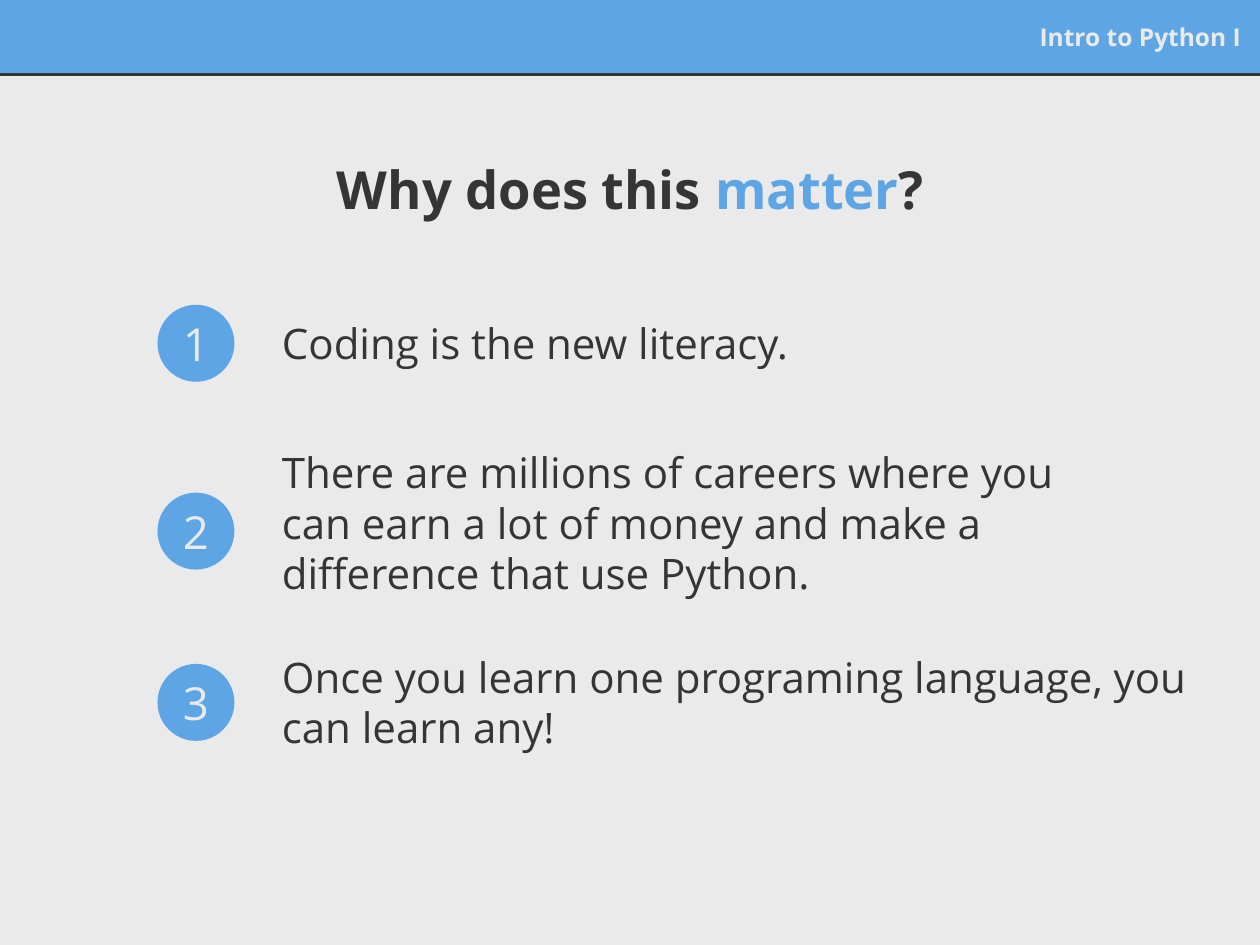
from dataclasses import dataclass
from pptx import Presentation
from pptx.dml.color import RGBColor
from pptx.enum.shapes import MSO_CONNECTOR, MSO_SHAPE
from pptx.enum.text import MSO_ANCHOR, MSO_AUTO_SIZE, PP_ALIGN
from pptx.oxml.ns import qn
from pptx.slide import Slide
from pptx.text.text import TextFrame
from pptx.util import Pt
from lxml.etree import SubElement


@dataclass(frozen=True)
class Theme:
    font: str = "Open Sans"
    blue: RGBColor = RGBColor(0x5E, 0xA5, 0xE5)
    dark: RGBColor = RGBColor(0x35, 0x35, 0x35)
    pale: RGBColor = RGBColor(0xEA, 0xEA, 0xEA)
    head: int = 14
    title: int = 30
    badge: int = 26
    body: int = 24


@dataclass(frozen=True)
class Box:
    left: float
    top: float
    width: float
    height: float

    def pts(self) -> list[Pt]:
        return [Pt(v) for v in (self.left, self.top, self.width, self.height)]


@dataclass(frozen=True)
class Reason:
    text: str
    dot: float  # top of the numbered circle
    box: Box


@dataclass(frozen=True)
class Run:
    text: str
    color: RGBColor


THEME = Theme()
WIDTH, HEIGHT = 720, 540
BAND = 42.5
DOT_LEFT, DOT_SIZE = 90, 44
TEXT_LEFT = 154

REASONS = [
    Reason("Coding is the new literacy.", 174.2,
           Box(TEXT_LEFT, 166.5, 478, 59)),
    Reason("There are millions of careers where you can earn a lot of money "
           "and make a difference that use Python.", 281.5,
           Box(TEXT_LEFT, 242.7, 478, 111.5)),
    Reason("Once you learn one programing language, you can learn any!", 379.4,
           Box(TEXT_LEFT, 371.5, 536.5, 59)),
]


def write(frame: TextFrame, runs: list[Run], size: int,
          align: PP_ALIGN = PP_ALIGN.LEFT, bold: bool = False) -> None:
    form = {"word_wrap": True, "auto_size": MSO_AUTO_SIZE.NONE,
            "vertical_anchor": MSO_ANCHOR.MIDDLE}
    form |= {f"margin_{side}": Pt(7.2)
             for side in ("left", "top", "right", "bottom")}
    for name, value in form.items():
        setattr(frame, name, value)
    para = frame.paragraphs[0]
    para.alignment = align
    for item in runs:
        run = para.add_run()
        run.text = item.text
        for name, value in {"name": THEME.font, "size": Pt(size),
                            "bold": bold}.items():
            setattr(run.font, name, value)
        run.font.color.rgb = item.color


def add_band(slide: Slide) -> None:
    band = slide.shapes.add_shape(
        MSO_SHAPE.RECTANGLE, *Box(0, 0, WIDTH, BAND).pts())
    band.shadow.inherit = False
    band.fill.solid()
    band.fill.fore_color.rgb = THEME.blue
    band.line.color.rgb = THEME.blue
    band.line.width = Pt(0.75)
    rule = slide.shapes.add_connector(
        MSO_CONNECTOR.STRAIGHT, Pt(0), Pt(BAND), Pt(WIDTH), Pt(BAND))
    rule.line.color.rgb = THEME.dark
    rule.line.width = Pt(1.5)
    SubElement(rule._element.spPr, qn("a:effectLst"))


def add_text(slide: Slide, box: Box, run: Run, size: int,
             align: PP_ALIGN = PP_ALIGN.LEFT, bold: bool = False) -> None:
    frame = slide.shapes.add_textbox(*box.pts()).text_frame
    write(frame, [run], size, align, bold)


def add_dot(slide: Slide, top: float, label: str) -> None:
    dot = slide.shapes.add_shape(
        MSO_SHAPE.OVAL, *Box(DOT_LEFT, top, DOT_SIZE, DOT_SIZE).pts())
    dot.shadow.inherit = False
    dot.fill.solid()
    dot.fill.fore_color.rgb = THEME.blue
    dot.line.fill.background()
    write(dot.text_frame, [Run(label, THEME.pale)], THEME.badge,
          PP_ALIGN.CENTER)


def set_title(slide: Slide, box: Box, runs: list[Run]) -> None:
    title = slide.shapes.title
    for name, value in zip(("left", "top", "width", "height"), box.pts()):
        setattr(title, name, value)
    write(title.text_frame, runs, THEME.title, PP_ALIGN.CENTER, True)


def main() -> None:
    deck = Presentation()
    deck.slide_width, deck.slide_height = Pt(WIDTH), Pt(HEIGHT)
    slide = deck.slides.add_slide(deck.slide_layouts[5])
    slide.background.fill.solid()
    slide.background.fill.fore_color.rgb = THEME.pale

    # Header band with the course name
    add_band(slide)
    add_text(slide, Box(449.3, 7.2, 267, 27.4),
             Run("Intro to Python I", THEME.pale), THEME.head,
             PP_ALIGN.RIGHT, True)

    # Title with one highlighted word
    set_title(slide, Box(12.8, 67.7, 694.8, 80.6),
              [Run("Why does this ", THEME.dark), Run("matter", THEME.blue),
               Run("?", THEME.dark)])

    # Numbered reasons
    for count, item in enumerate(REASONS, 1):
        add_dot(slide, item.dot, str(count))
        add_text(slide, item.box, Run(item.text, THEME.dark), THEME.body)

    deck.save("out.pptx")


if __name__ == "__main__":
    main()
